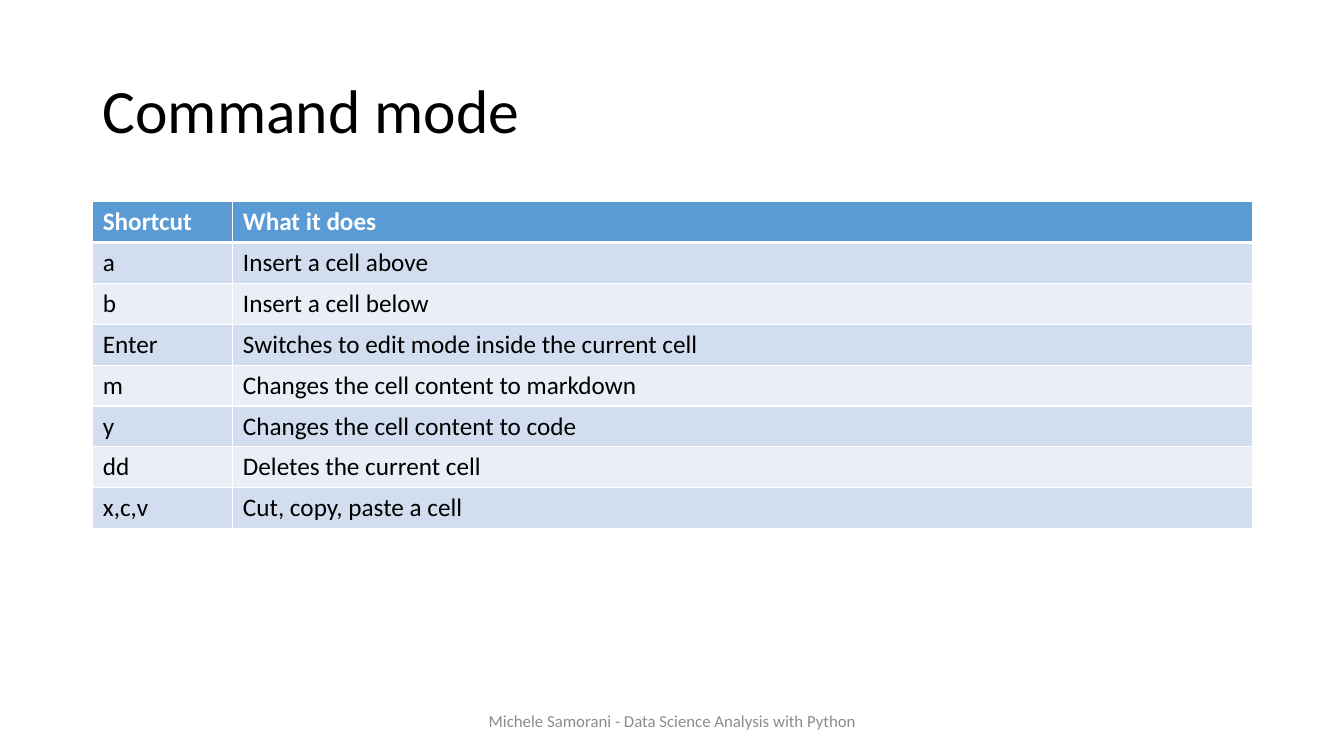
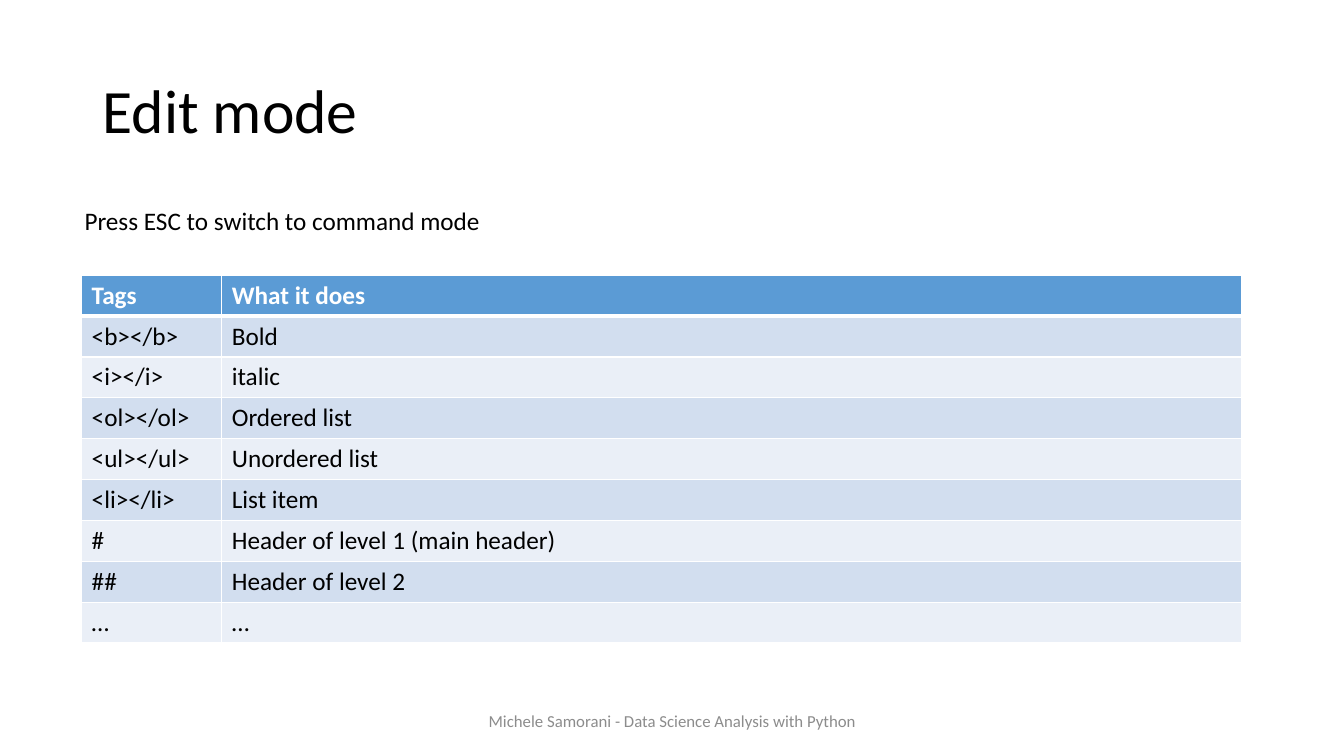
"""Builds two slides of notebook shortcuts and tags."""
from lxml import etree
from pptx import Presentation
from pptx.dml.color import RGBColor
from pptx.enum.text import MSO_ANCHOR, PP_ALIGN
from pptx.oxml.ns import qn
from pptx.util import Inches, Pt

LEFT, CENTER = PP_ALIGN.LEFT, PP_ALIGN.CENTER
TOP, MIDDLE = MSO_ANCHOR.TOP, MSO_ANCHOR.MIDDLE

FONT = "Calibri"
BLACK, WHITE, GRAY = "000000", "FFFFFF", "8C8C8C"
HEADER_FILL = "5B9BD5"
BAND_FILLS = ("D2DEEF", "EAEFF7")
COLUMN_WIDTHS = (1.39, 10.11)
ROW_HEIGHT = 0.4056
THIN, THICK = 1, 3
FOOTER = "Michele Samorani - Data Science Analysis with Python"

COMMAND_ROWS = [
    ("Shortcut", "What it does"),
    ("a", "Insert a cell above"),
    ("b", "Insert a cell below"),
    ("Enter", "Switches to edit mode inside the current cell"),
    ("m", "Changes the cell content to markdown"),
    ("y", "Changes the cell content to code"),
    ("dd", "Deletes the current cell"),
    ("x,c,v", "Cut, copy, paste a cell"),
]
EDIT_ROWS = [
    ("Tags", "What it does"),
    ("<b></b>", "Bold"),
    ("<i></i>", "italic"),
    ("<ol></ol>", "Ordered list"),
    ("<ul></ul>", "Unordered list"),
    ("<li></li>", "List item"),
    ("#", "Header of level 1 (main header)"),
    ("##", "Header of level 2"),
    ("…", "…"),
]


def color(value):
    """Return the colour for a hex string."""
    return RGBColor.from_string(value)


def write(frame, text, size=18, ink=BLACK, bold=False, align=LEFT, spacing=1.0):
    """Put one formatted paragraph into a text frame."""
    para = frame.paragraphs[0]
    para.alignment = align
    para.line_spacing = spacing
    span = para.add_run()
    span.text = text
    span.font.name = FONT
    span.font.size = Pt(size)
    span.font.bold = bold
    span.font.color.rgb = color(ink)


def add_text(page, text, left, top, width, height, anchor=TOP, wrap=True, **style):
    """Add a text box with one paragraph."""
    box = page.shapes.add_textbox(
        Inches(left), Inches(top), Inches(width), Inches(height))
    box.text_frame.word_wrap = wrap
    box.text_frame.vertical_anchor = anchor
    write(box.text_frame, text, **style)


def add_borders(cell, top=THIN, bottom=THIN):
    """Draw white lines around a table cell."""
    properties = cell._tc.get_or_add_tcPr()
    widths = {"a:lnL": THIN, "a:lnR": THIN, "a:lnT": top, "a:lnB": bottom}
    for tag, width in widths.items():
        line = etree.SubElement(properties, qn(tag), w=str(Pt(width)))
        fill = etree.SubElement(line, qn("a:solidFill"))
        etree.SubElement(fill, qn("a:srgbClr"), val=WHITE)


def add_grid(page, rows, left, top):
    """Add a banded table whose first row is the header."""
    grid = page.shapes.add_table(
        len(rows), len(COLUMN_WIDTHS), Inches(left), Inches(top),
        Inches(sum(COLUMN_WIDTHS)), Inches(ROW_HEIGHT * len(rows))).table
    for column, width in zip(grid.columns, COLUMN_WIDTHS):
        column.width = Inches(width)
    for row_index, texts in enumerate(rows):
        header = row_index == 0
        fill = HEADER_FILL if header else BAND_FILLS[(row_index - 1) % 2]
        for column_index, text in enumerate(texts):
            cell = grid.cell(row_index, column_index)
            add_borders(cell, top=THICK if row_index == 1 else THIN,
                        bottom=THICK if header else THIN)
            cell.fill.solid()
            cell.fill.fore_color.rgb = color(fill)
            write(cell.text_frame, text, ink=WHITE if header else BLACK, bold=header)


def add_page(deck, title):
    """Add a blank slide with the shared title and footer."""
    page = deck.slides.add_slide(deck.slide_layouts[6])
    add_text(page, title, 0.92, 0.4, 11.5, 1.45, anchor=MIDDLE, size=44, spacing=0.9)
    add_text(page, FOOTER, 4.42, 6.95, 4.5, 0.4, anchor=MIDDLE,
             size=12, ink=GRAY, align=CENTER)
    return page


def main():
    """Build and save the deck."""
    deck = Presentation()
    deck.slide_width, deck.slide_height = Inches(13.33), Inches(7.5)

    command_page = add_page(deck, "Command mode")
    add_grid(command_page, COMMAND_ROWS, 0.92, 2)

    edit_page = add_page(deck, "Edit mode")
    add_grid(edit_page, EDIT_ROWS, 0.81, 2.73)
    add_text(edit_page, "Press ESC to switch to command mode",
             0.74, 1.99, 4.17, 0.4, wrap=False)

    deck.save("out.pptx")


if __name__ == "__main__":
    main()
